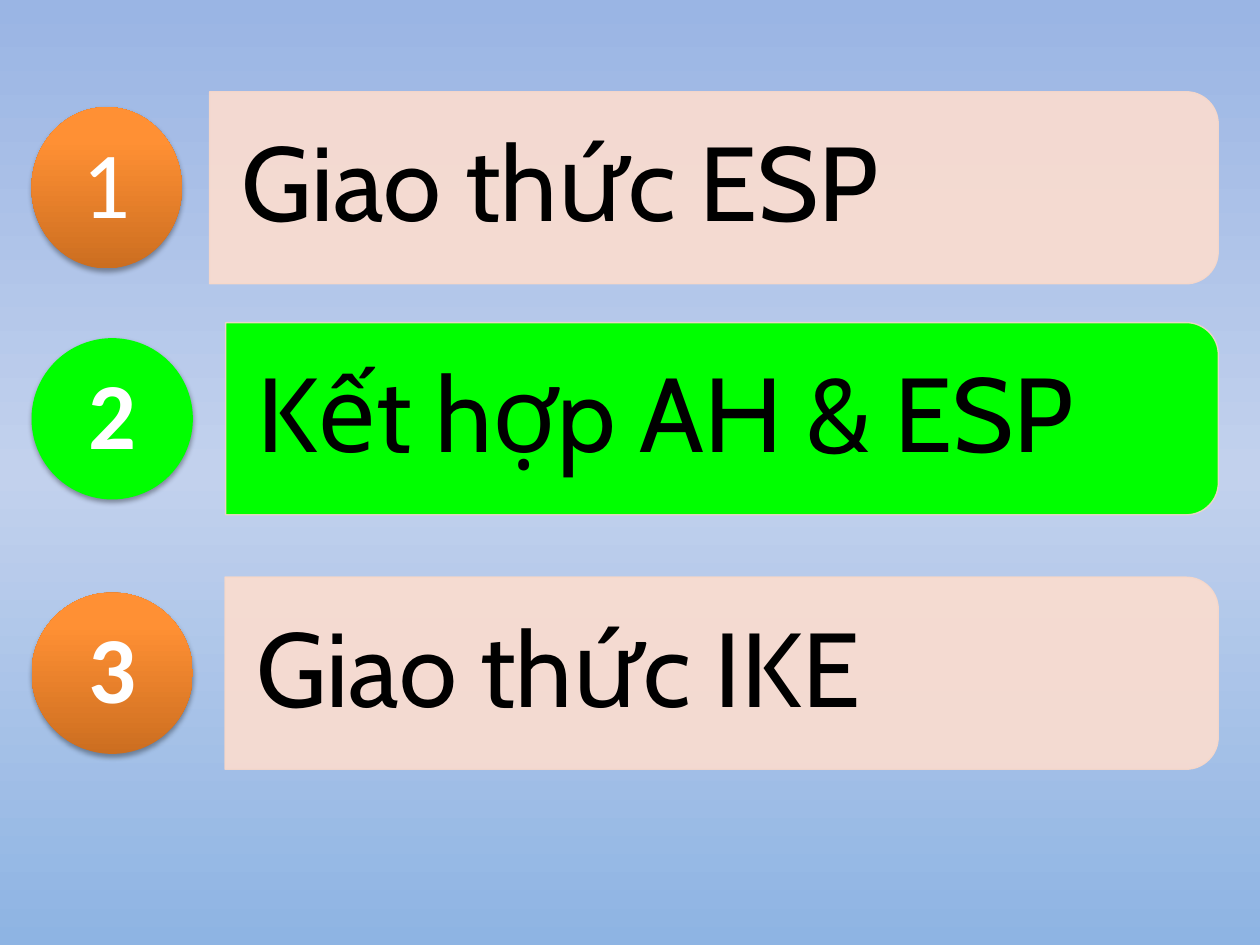
import math
import pptx
import pptx.util
import pptx.dml.color
import pptx.enum.dml
import pptx.enum.shapes
import pptx.enum.text
import pptx.oxml
import pptx.oxml.ns

Pt = pptx.util.Pt
RGB = pptx.dml.color.RGBColor
Anchor = pptx.enum.text.MSO_ANCHOR
Align = pptx.enum.text.PP_ALIGN
NS = pptx.oxml.ns.nsdecls("a")

BLACK = RGB(0x00, 0x00, 0x00)
WHITE = RGB(0xFF, 0xFF, 0xFF)
GREEN = RGB(0x00, 0xFF, 0x00)
PEACH = RGB(0xFC, 0xDD, 0xCF)
EDGE = RGB(0xF8, 0xD8, 0xC9)
SKY = [(0, RGB(0x9A, 0xB5, 0xE4)), (50, RGB(0xC2, 0xD1, 0xED)), (100, RGB(0x8E, 0xB4, 0xE3))]
ORANGE = [(0, RGB(0xCC, 0x6E, 0x20)), (80, RGB(0xFF, 0x90, 0x34)), (100, RGB(0xFF, 0x91, 0x36))]

PANEL = {"name": "Cabin", "size": Pt(60), "bold": False}
DISC = {"name": "Calibri", "size": Pt(54)}


def apply(item, values):
    for key, value in values.items():
        setattr(item, key, value)


def blend(fill, root, stops, angle):
    fill.gradient()
    fill.gradient_angle = angle
    group = root.xpath(".//a:gradFill/a:gsLst")[0]
    for old in list(group):
        group.remove(old)
    for place, color in stops:
        group.append(pptx.oxml.parse_xml(
            f'<a:gs {NS} pos="{place * 1000}"><a:srgbClr val="{color}"/></a:gs>'))


def paint(fill, color, alpha=100):
    fill.solid()
    fill.fore_color.rgb = color
    if alpha < 100:
        node = fill._xPr.xpath("./a:solidFill/a:srgbClr")[0]
        node.append(pptx.oxml.parse_xml(f'<a:alpha {NS} val="{alpha * 1000}"/>'))


def write(shape, text, style, color, align, insets):
    frame = shape.text_frame
    sides = ("margin_left", "margin_top", "margin_right", "margin_bottom")
    apply(frame, dict(zip(sides, map(Pt, insets))))
    apply(frame, {"word_wrap": True, "vertical_anchor": Anchor.MIDDLE})
    para = frame.paragraphs[0]
    apply(para, {"alignment": align, "line_spacing": 0.9})
    para._p.get_or_add_pPr().append(pptx.oxml.parse_xml(
        f'<a:spcAft {NS}><a:spcPct val="35000"/></a:spcAft>'))
    run = para.add_run()
    run.text = text
    apply(run.font, style)
    run.font.color.rgb = color


def add_panel(slide, box, text, active):
    left, top, width, height = box
    right, low, radius, steps = left + width, top + height, 18.4, 16
    points = [(left, top)]
    for y, start in ((top + radius, -90), (low - radius, 0)):
        for step in range(steps + 1):
            turn = math.radians(start + 90 * step / steps)
            points.append((right - radius + radius * math.cos(turn),
                           y + radius * math.sin(turn)))
    points.append((left, low))
    outline = [(Pt(x), Pt(y)) for x, y in points]
    maker = slide.shapes.build_freeform(*outline[0])
    maker.add_line_segments(outline[1:], close=True)
    panel = maker.convert_to_shape()
    panel.shadow.inherit = False
    paint(panel.fill, GREEN if active else PEACH, 100 if active else 90)
    panel.line.width = Pt(0.75)
    paint(panel.line.fill, EDGE, 90)
    write(panel, text, PANEL, BLACK, Align.LEFT, (18, 17.3, 23, 17.3))


def add_disc(slide, box, text, active, bold):
    disc = slide.shapes.add_shape(
        pptx.enum.shapes.MSO_SHAPE.OVAL, *map(Pt, box))
    if active:
        paint(disc.fill, GREEN)
    else:
        blend(disc.fill, disc._element, ORANGE, 90)
    disc.line.fill.background()
    disc.shadow.inherit = False
    effect = disc._element.spPr.xpath("./a:effectLst")[0]
    effect.append(pptx.oxml.parse_xml(
        f'<a:outerShdw {NS} blurRad="{Pt(3.1)}" dist="{Pt(1.8)}" dir="5400000" rotWithShape="0">'
        '<a:srgbClr val="000000"><a:alpha val="35000"/></a:srgbClr></a:outerShdw>'))
    write(disc, text, {**DISC, "bold": bold}, WHITE, Align.CENTER, (0, 0, 0, 0))


def add_row(slide, box, number, text, wide, indent, active=False, bold=True):
    left, top, width, height = box
    tall = 92.2
    add_panel(slide, (left + indent, top, width - indent, height), text, active)
    add_disc(slide, (left, top + (height - tall) / 2, wide, tall), number, active, bold)


def main():
    deck = pptx.Presentation()
    apply(deck, {"slide_width": Pt(720), "slide_height": Pt(540)})
    slide = deck.slides.add_slide(deck.slide_layouts[6])
    blend(slide.background.fill, slide._element, SKY, 270)
    rows = [
        (52.4, "Giao thức ESP", 86, 101.8, False, False),
        (184.4, "Kết hợp AH & ESP", 92.2, 111, True, True),
        (329.8, "Giao thức IKE", 92.2, 110.6, False, True),
    ]
    for number, (top, *rest) in enumerate(rows, 1):
        add_row(slide, (18, top, 678.2, 109.8), str(number), *rest)
    deck.save("out.pptx")


if __name__ == "__main__":
    main()
